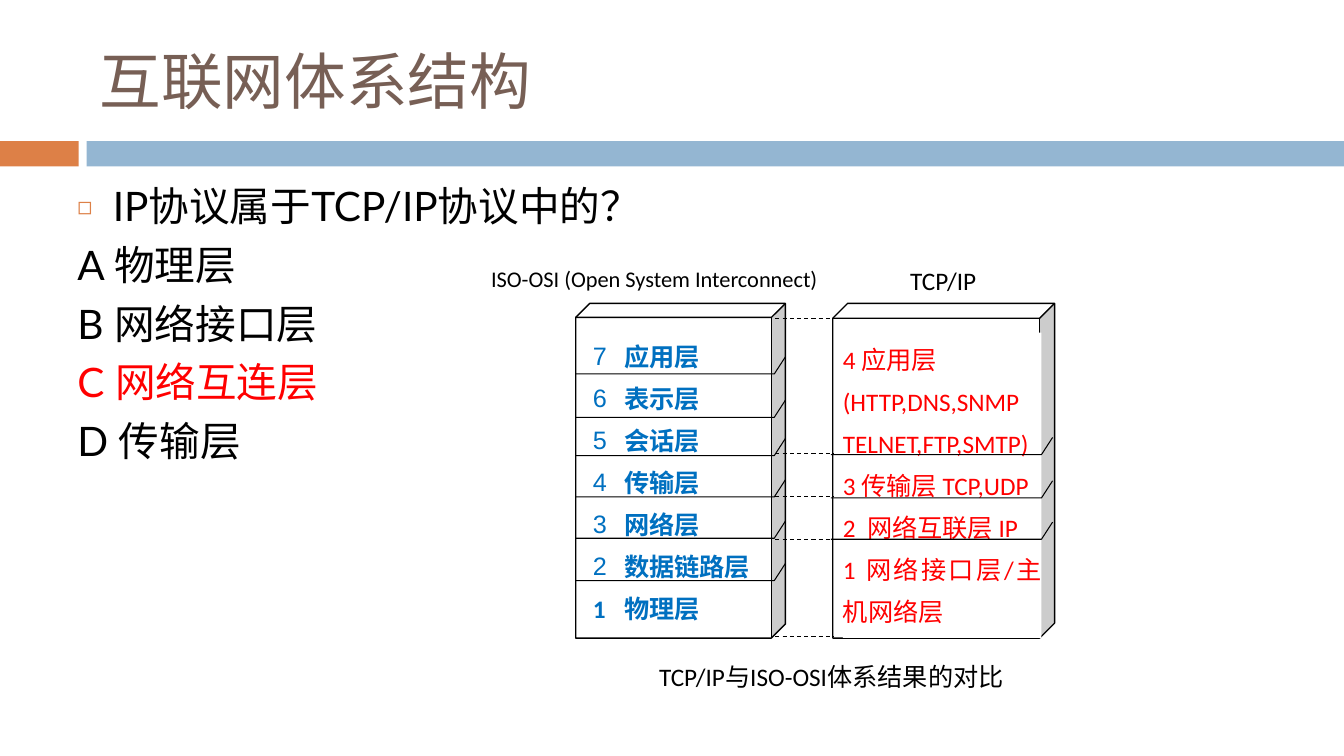
from dataclasses import dataclass

from lxml.etree import SubElement
from pptx import Presentation
from pptx.dml.color import RGBColor
from pptx.enum.dml import MSO_LINE
from pptx.enum.shapes import MSO_CONNECTOR, MSO_SHAPE
from pptx.enum.text import MSO_ANCHOR, PP_ALIGN
from pptx.oxml.ns import qn
from pptx.util import Inches, Pt


@dataclass(frozen=True)
class Theme:
    heading_font: str = "Lato"
    diagram_font: str = "Calibri"
    black: str = "000000"
    white: str = "FFFFFF"
    red: str = "FF0000"
    blue: str = "0070C0"
    brown: str = "775F55"
    orange: str = "DD8047"
    band: str = "94B6D2"
    title_size: int = 44
    body_size: int = 29
    label_size: int = 18
    small_size: int = 16


THEME = Theme()
CUBE_TOP, CUBE_HEIGHT, DEPTH = 3.01, 3.32, 0.067
DIVIDER_RISE, DIVIDER_RUN = 0.17, 0.11
OSI_LAYERS = ["应用层", "表示层", "会话层", "传输层", "网络层", "数据链路层"]
TCP_LINES = ["4 应用层", "(HTTP,DNS,SNMP", "TELNET,FTP,SMTP)", "3 传输层 TCP,UDP",
             "2  网络互联层 IP", "1 网络接口层/主机网络层"]
OPTIONS = ["A 物理层", "B 网络接口层", "C 网络互连层", "D 传输层"]
ANSWER = "C 网络互连层"


def rgb(color):
    return RGBColor.from_string(color)


def style_runs(para, font, size, color, bold=False):
    for span in para.runs:
        span.font.name = font
        span.font.size = Pt(size)
        span.font.bold = bold
        span.font.color.rgb = rgb(color)


def set_hanging(para, indent, bullet=None, font="Arial", color=None, percent=100):
    """Give the paragraph a hanging indent and, if asked, a bullet."""
    props = para._p.get_or_add_pPr()
    props.set("marL", str(Inches(indent)))
    props.set("indent", str(-Inches(indent)))
    if not bullet:
        return
    if color:
        SubElement(SubElement(props, qn("a:buClr")), qn("a:srgbClr"), val=color)
    SubElement(props, qn("a:buSzPct"), val=str(percent * 1000))
    SubElement(props, qn("a:buFont"), typeface=font)
    SubElement(props, qn("a:buChar"), char=bullet)


def set_frame(shape, lines, anchor=MSO_ANCHOR.TOP, inset=None):
    """Put one paragraph per line into the shape and return the paragraphs."""
    frame = shape.text_frame
    frame.text = "\n".join(lines)
    frame.word_wrap = True
    frame.vertical_anchor = anchor
    if inset is not None:
        frame.margin_left = frame.margin_right = Inches(inset)
        frame.margin_top = frame.margin_bottom = Inches(inset)
    return frame.paragraphs


def add_block(page, kind, left, top, width, height, fill, line=None):
    block = page.shapes.add_shape(kind, Inches(left), Inches(top), Inches(width), Inches(height))
    block.shadow.inherit = False
    block.fill.solid()
    block.fill.fore_color.rgb = rgb(fill)
    if line:
        block.line.color.rgb = rgb(line)
        block.line.width = Pt(1)
    else:
        block.line.fill.background()
    return block


def add_text_box(page, left, top, width, height):
    return page.shapes.add_textbox(Inches(left), Inches(top), Inches(width), Inches(height))


def add_label(page, text, left, top, width, height, size):
    [para] = set_frame(add_text_box(page, left, top, width, height), [text], inset=0)
    para.alignment = PP_ALIGN.CENTER
    style_runs(para, THEME.diagram_font, size, THEME.black)


def add_cube(page, left, width):
    cube = add_block(page, MSO_SHAPE.CUBE, left, CUBE_TOP, width, CUBE_HEIGHT,
                     THEME.white, THEME.black)
    cube.adjustments[0] = DEPTH


def add_layer_text(page, lines, left, top, width, color, bold=False):
    panel = add_block(page, MSO_SHAPE.RECTANGLE, left, top, width, 3.03, THEME.white)
    paras = set_frame(panel, lines, inset=0)
    for para in paras:
        para.alignment = PP_ALIGN.JUSTIFY
        para.line_spacing = Pt(30)
        style_runs(para, THEME.diagram_font, THEME.label_size, color, bold)
    return paras


def add_divider(page, left, width, level):
    """Draw a layer edge across the front and up the side of a cube."""
    right = left + width
    builder = page.shapes.build_freeform(Inches(left), Inches(level))
    builder.add_line_segments([
        (Inches(right - DIVIDER_RUN), Inches(level)),
        (Inches(right), Inches(level - DIVIDER_RISE)),
    ], close=False)
    edge = builder.convert_to_shape()
    edge.shadow.inherit = False
    edge.fill.background()
    edge.line.color.rgb = rgb(THEME.black)
    edge.line.width = Pt(0.75)


def add_dashed_link(page, left, level):
    link = page.shapes.add_connector(MSO_CONNECTOR.STRAIGHT, Inches(left), Inches(level),
                                     Inches(left + 0.58), Inches(level))
    link.line.color.rgb = rgb(THEME.black)
    link.line.width = Pt(0.75)
    link.line.dash_style = MSO_LINE.DASH
    SubElement(link._element.spPr, qn("a:effectLst"))


def add_heading(page):
    add_block(page, MSO_SHAPE.RECTANGLE, 0, 1.4, 0.78, 0.25, THEME.orange)
    add_block(page, MSO_SHAPE.RECTANGLE, 0.86, 1.4, 12.47, 0.25, THEME.band)
    title = add_text_box(page, 0.89, 0.25, 11.89, 1.08)
    [para] = set_frame(title, ["互联网体系结构"], MSO_ANCHOR.MIDDLE)
    style_runs(para, THEME.heading_font, THEME.title_size, THEME.brown)


def add_question(page):
    box = add_text_box(page, 0.67, 1.75, 8.92, 4.92)
    paras = set_frame(box, ["IP协议属于TCP/IP协议中的？", *OPTIONS])
    for para in paras:
        para.space_before = Pt(7)
        color = THEME.red if para.text == ANSWER else THEME.black
        style_runs(para, THEME.heading_font, THEME.body_size, color)
    set_hanging(paras[0], 0.35, "◻", THEME.heading_font, THEME.orange, 60)


def add_osi_stack(page):
    add_cube(page, 5.71, 2.08)
    paras = add_layer_text(page, [*OSI_LAYERS, "1\t物理层"], 5.88, 3.27, 1.69,
                           THEME.blue, bold=True)
    for number, para in zip(range(7, 1, -1), paras):
        set_hanging(para, 0.31, str(number))
    set_hanging(paras[-1], 0.31)
    for level in (3.71, 4.14, 4.52, 4.93, 5.34, 5.76):
        add_divider(page, 5.71, 2.08, level)


def add_tcp_stack(page):
    add_cube(page, 8.26, 2.2)
    add_layer_text(page, TCP_LINES, 8.36, 3.3, 1.97, THEME.red)
    for level in (4.51, 4.94, 5.35):
        add_divider(page, 8.24, 2.2, level)


def main():
    deck = Presentation()
    deck.slide_width, deck.slide_height = Inches(13.33), Inches(7.5)
    page = deck.slides.add_slide(deck.slide_layouts[6])
    add_heading(page)
    add_osi_stack(page)
    add_tcp_stack(page)
    add_label(page, "TCP/IP", 8.95, 2.63, 0.81, 0.35, THEME.label_size)
    add_label(page, "ISO-OSI (Open System Interconnect)", 4.72, 2.63, 3.54, 0.35,
              THEME.small_size)
    add_label(page, "TCP/IP与ISO-OSI体系结果的对比", 5.29, 6.56, 5.91, 0.52, THEME.label_size)
    for level in (3.16, 4.5, 4.93, 5.35, 6.31):
        add_dashed_link(page, 7.69, level)
    add_question(page)
    deck.save("out.pptx")


if __name__ == "__main__":
    main()
